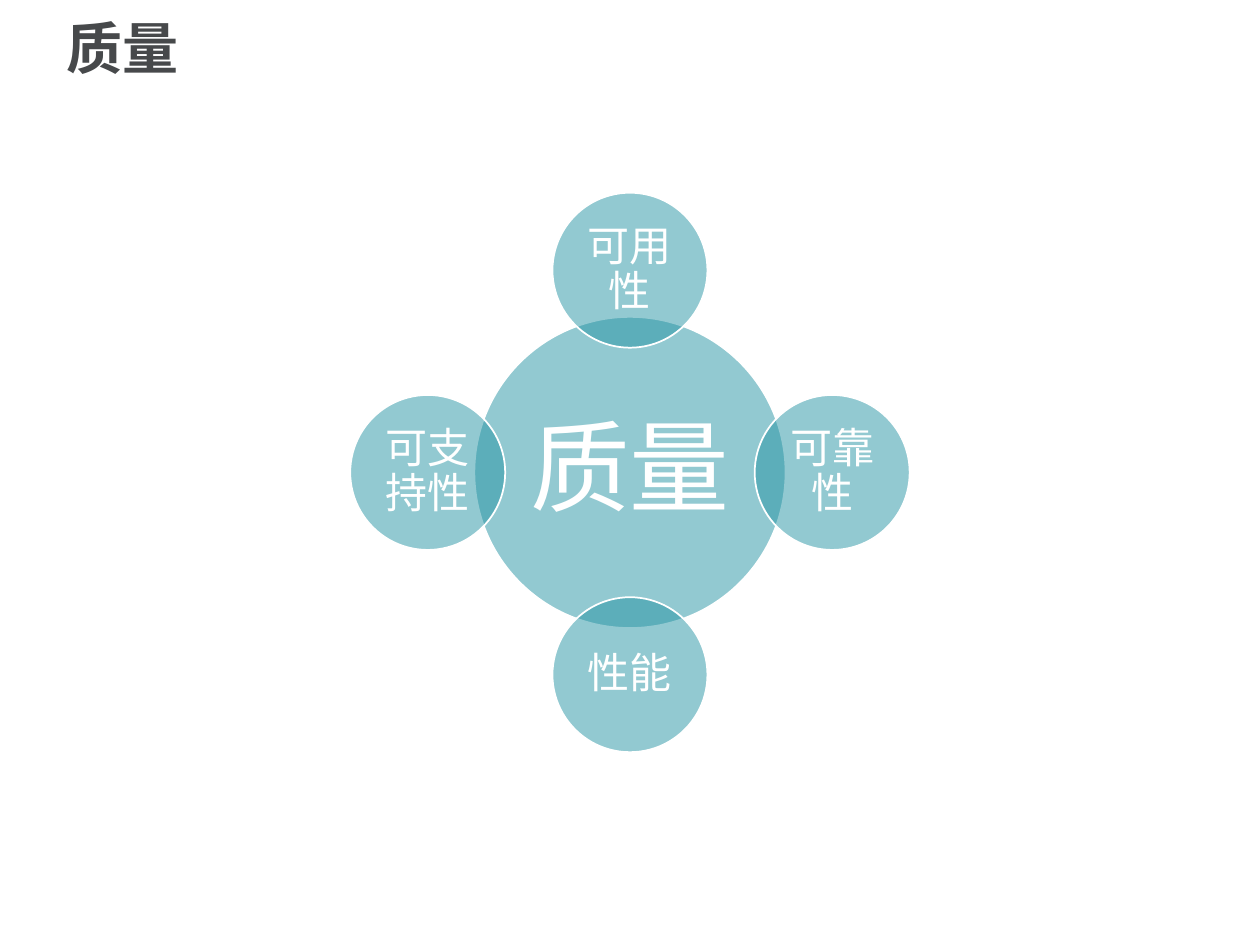
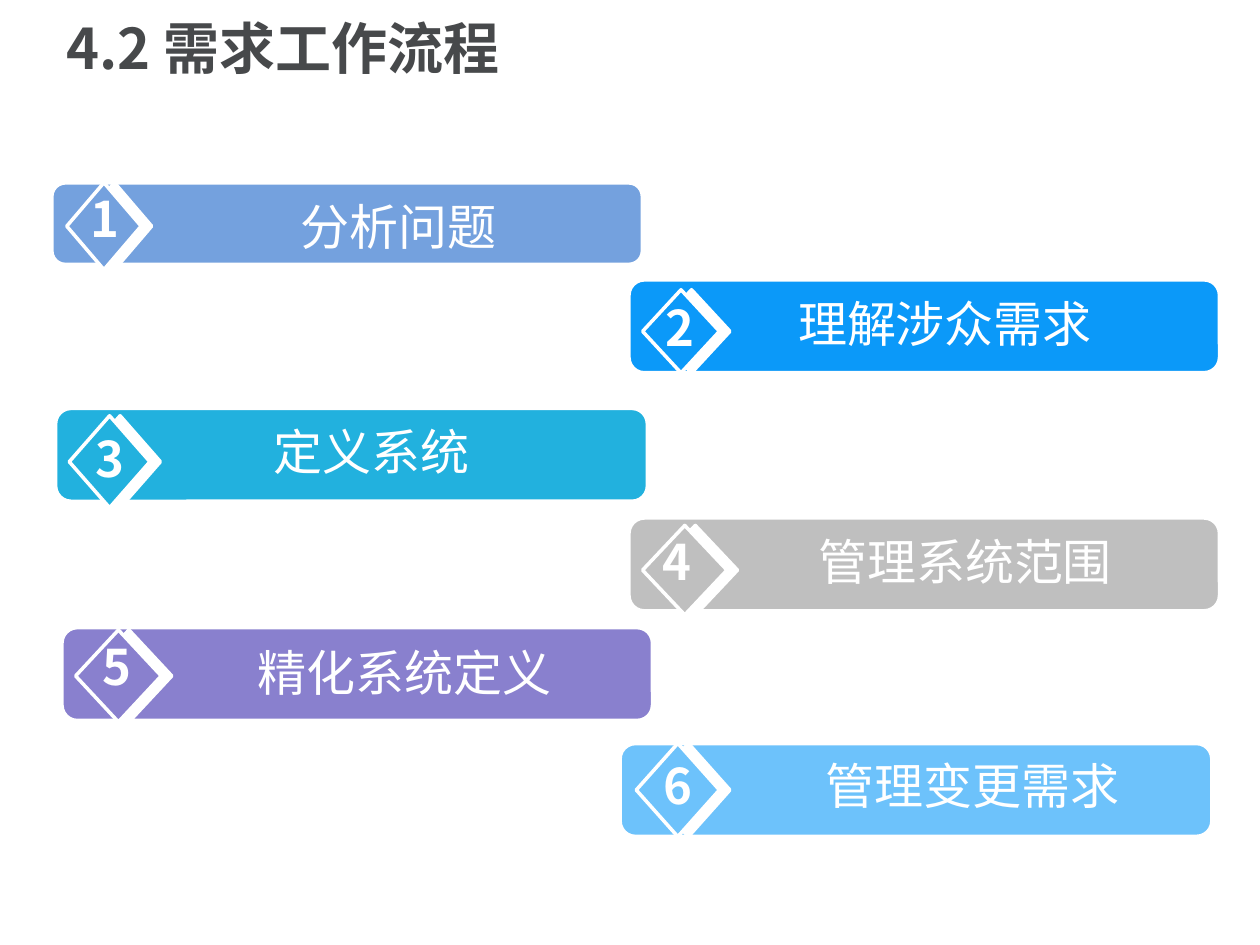
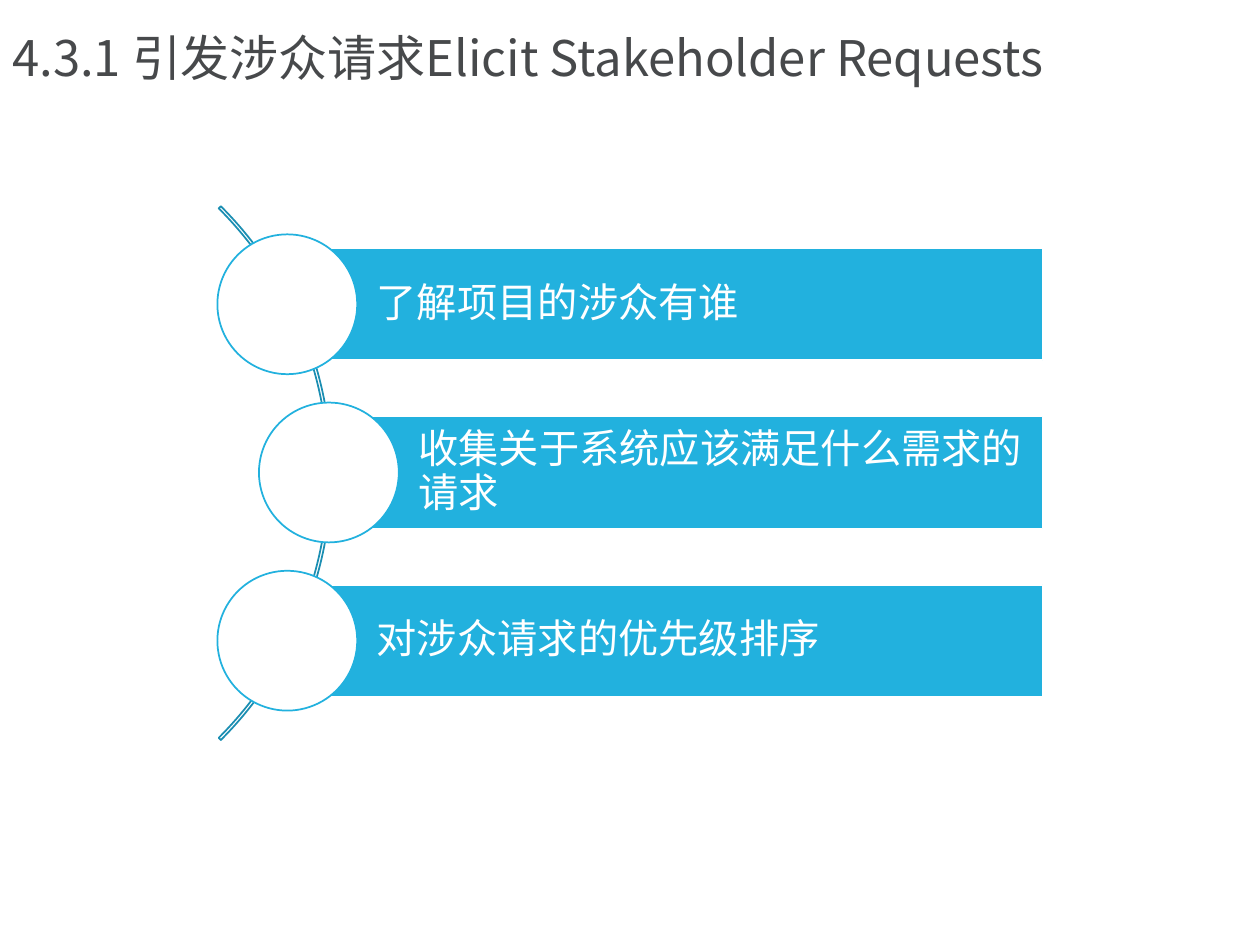
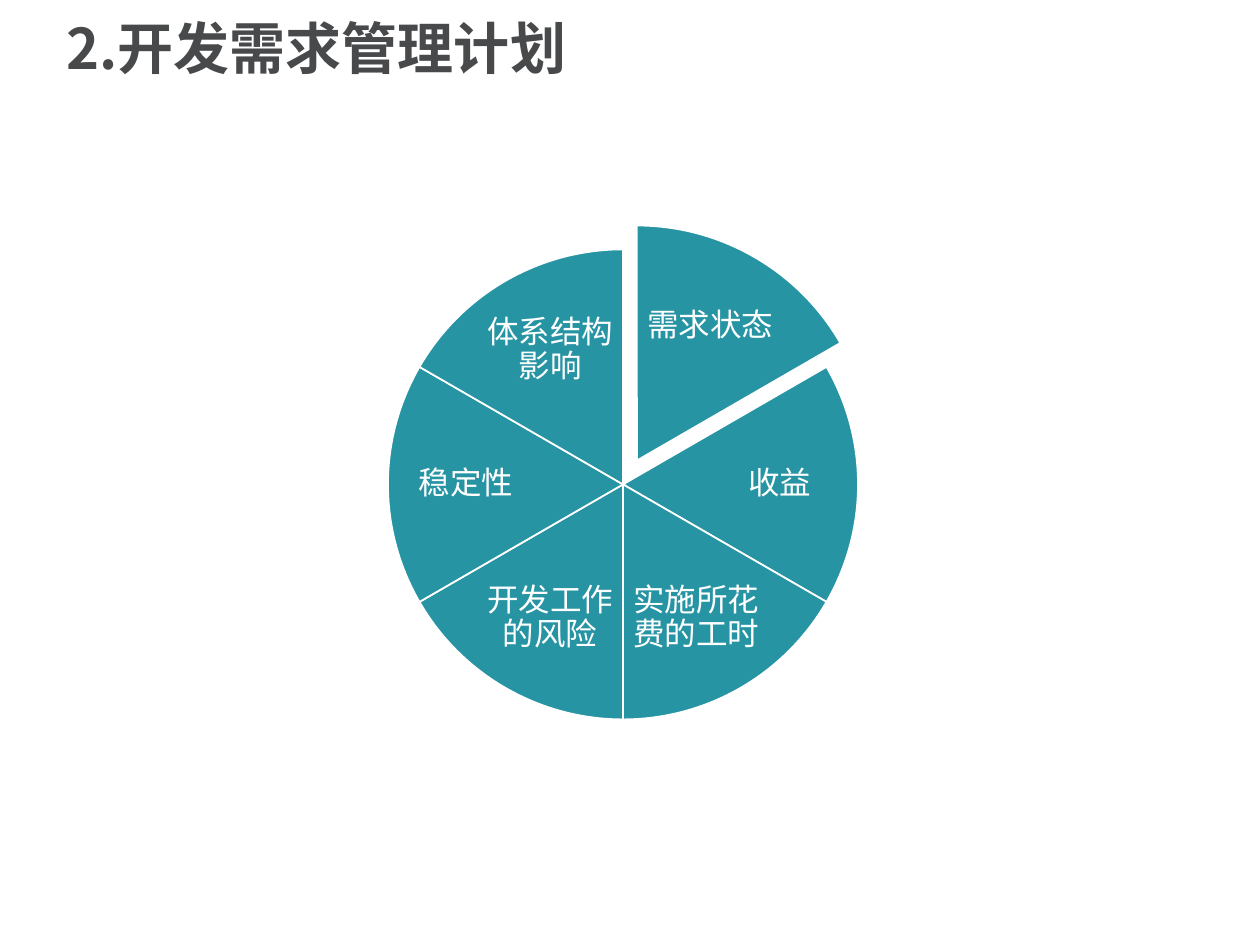
import pptx
import pptx.util
import pptx.dml.color
import pptx.enum.shapes
import pptx.enum.text
import pptx.oxml.ns
import lxml.etree

SHAPE = pptx.enum.shapes.MSO_SHAPE
ALIGN = pptx.enum.text.PP_ALIGN
ANCHOR = pptx.enum.text.MSO_ANCHOR
qn = pptx.oxml.ns.qn

WHITE, INK, TEAL, CYAN, ARC_BLUE = "FFFFFF", "47494B", "2794A4", "22B1DE", "1B8EB2"
TITLE_FONT, STEP_FONT, DIAGRAM_FONT = "Noto Sans CJK SC", "Noto Sans CJK JP", "Calibri"

deck = pptx.Presentation()
deck.slide_width = pptx.util.Inches(10)
deck.slide_height = pptx.util.Inches(7.5)
COLUMN = deck.slide_width / 100
ROW = deck.slide_height / 75


def color(hex_string):
    return pptx.dml.color.RGBColor.from_string(hex_string)


def place(slide, kind, x, y, w, h, fill=None, line=WHITE, weight=1, text="", size=18,
          font=DIAGRAM_FONT, ink=WHITE, bold=False, align=ALIGN.CENTER,
          anchor=ANCHOR.MIDDLE, spacing=0.9, insets=(0.3, 0.3, 0.3, 0.3)):
    frame = [int(x * COLUMN), int(y * ROW), int(w * COLUMN), int(h * ROW)]
    if kind is None:
        part = slide.shapes.add_textbox(*frame)
    else:
        part = slide.shapes.add_shape(kind, *frame)
        part.shadow.inherit = False
        if fill:
            part.fill.solid()
            part.fill.fore_color.rgb = color(fill)
        else:
            part.fill.background()
        part.line.color.rgb = color(line)
        part.line.width = pptx.util.Pt(weight)
    if text:
        body = part.text_frame
        body.word_wrap = True
        body.vertical_anchor = anchor
        body.margin_left, body.margin_top, body.margin_right, body.margin_bottom = [
            int(inset * COLUMN) for inset in insets]
        paragraph = body.paragraphs[0]
        paragraph.text = text
        paragraph.alignment = align
        paragraph.line_spacing = spacing
        paragraph.font.size = pptx.util.Pt(size)
        paragraph.font.bold = bold
        paragraph.font.color.rgb = color(ink)
        paragraph.font.name = font
        properties = paragraph._p.pPr.find(qn("a:defRPr"))
        lxml.etree.SubElement(properties, qn("a:ea"), typeface=font)
    return part


titles = [
    ("质量", 4.3, 0.6, 90.5, 7, 32, True),
    ("4.2 需求工作流程", 4.3, 0.6, 90.5, 7, 32, True),
    ("4.3.1 引发涉众请求Elicit Stakeholder Requests", 0, 1, 97.1, 7.6, 28, False),
    ("2.开发需求管理计划", 4.3, 0.6, 90.5, 7, 32, True),
]
slides = []
for title, x, y, w, h, size, bold in titles:
    slide = deck.slides.add_slide(deck.slide_layouts[6])
    place(slide, None, x, y, w, h, text=title, size=size, font=TITLE_FONT, ink=INK,
          bold=bold, align=ALIGN.LEFT, insets=(1, 0.5, 1, 0.5))
    slides.append(slide)
quality, workflow, elicitation, plan = slides

orbit = 16.05
circles = [
    ("质量", 0, 0, 24.7, 57, 0.8),
    ("可用性", 0, -orbit, 12.3, 24, 0.3),
    ("可靠性", orbit, 0, 12.3, 24, 0.3),
    ("性能", 0, orbit, 12.3, 24, 0.3),
    ("可支持性", -orbit, 0, 12.3, 24, 0.3),
]
for name, dx, dy, diameter, size, inset in circles:
    circle = place(quality, SHAPE.OVAL, 50 + dx - diameter / 2, 37.5 + dy - diameter / 2,
                   diameter, diameter, TEAL, text=name, size=size, insets=[inset] * 4)
    tint = circle._element.spPr.find(qn("a:solidFill"))[0]
    lxml.etree.SubElement(tint, qn("a:alpha"), val="50000")

steps = [
    ("分析问题", "74A1DE", (4.1, 14.5, 46.9, 6.5), (5.3, 14.5, 5.9, 6.9), (12.2, 15.1, 38.8), (6.5, 14.5, 3.7)),
    ("理解涉众需求", "0B99F9", (49.9, 22.2, 46.9, 7.4), (51, 23, 6.1, 6.6), (55.5, 22.8, 39), (51.6, 23.1, 4.7)),
    ("定义系统", CYAN, (4.4, 32.4, 47, 7.4), (5.5, 33, 6.4, 7.3), (10, 33, 39), (7, 33.5, 3.4)),
    ("管理系统范围", "BFBFBF", (49.9, 41.1, 46.9, 7.4), (51, 41.7, 6.7, 7.1), (57.1, 41.7, 39), (52, 41.7, 3.4)),
    ("精化系统定义", "8980CE", (4.9, 49.8, 46.9, 7.4), (6, 50, 6.8, 7.3), (7.7, 50.5, 48.8), (6.9, 50, 4.8)),
    ("管理变更需求", "6DC2FB", (49.2, 59, 47, 7.4), (50.5, 59, 6.6, 7.4), (57.7, 59.5, 39), (51.4, 59.5, 4.8)),
]
for number, (name, tone, bar, badge, label, digit) in enumerate(steps, 1):
    place(workflow, SHAPE.ROUNDED_RECTANGLE, *bar, tone, weight=2.25)
    diamond = place(workflow, SHAPE.DIAMOND, *badge, tone, weight=2)
    effects = diamond._element.spPr.find(qn("a:effectLst"))
    shadow = lxml.etree.SubElement(effects, qn("a:outerShdw"), dist=str(pptx.util.Pt(6)),
                                   dir="0", algn="ctr", rotWithShape="0")
    lxml.etree.SubElement(shadow, qn("a:srgbClr"), val=WHITE)
    for text, spot, bold in [(name, label, False), (str(number), digit, True)]:
        place(workflow, None, *spot, 5.7, text=text, size=28, font=STEP_FONT, bold=bold,
              anchor=ANCHOR.TOP, spacing=1, insets=(0, 0.5, 0, 0.5))

arc = place(elicitation, SHAPE.BLOCK_ARC, -33.6, 7.6, 59.9, 59.9, line=ARC_BLUE)
for index, value in enumerate([189, 27, 0.004]):
    arc.adjustments[index] = value
requests = [("了解项目的涉众有谁", 22.8), ("收集关于系统应该满足什么需求的请求", 26.1),
            ("对涉众请求的优先级排序", 22.8)]
for row, (request, left) in enumerate(requests):
    middle = 24.15 + 13.35 * row
    place(elicitation, SHAPE.RECTANGLE, left, middle - 4.45, 82.75 - left, 8.9, CYAN,
          text=request, size=23, align=ALIGN.LEFT, insets=(7.1, 0.6, 0.6, 0.6))
    place(elicitation, SHAPE.OVAL, left - 5.55, middle - 5.55, 11.1, 11.1, WHITE, CYAN)

diameter = 37.3
sectors = [
    ("需求状态", 5.8, -10.65), ("收益", 12.45, 0), ("实施所花费的工时", 5.8, 10.65),
    ("开发工作的风险", -5.8, 10.65), ("稳定性", -12.45, 0), ("体系结构影响", -5.8, -10.65),
]
for index, (name, dx, dy) in enumerate(sectors):
    center_x, center_y = (50.55, 36.55) if index == 0 else (49.45, 38.45)
    sector = place(plan, SHAPE.PIE, center_x - diameter / 2, center_y - diameter / 2,
                   diameter, diameter, TEAL)
    sector.adjustments[0] = (162 + 36 * index) % 216
    sector.adjustments[1] = 162 + 36 * (index + 1) - 216 if index else 198
    place(plan, None, center_x + dx - 5.45, center_y + dy - 4, 10.9, 8, text=name)

deck.save("out.pptx")
